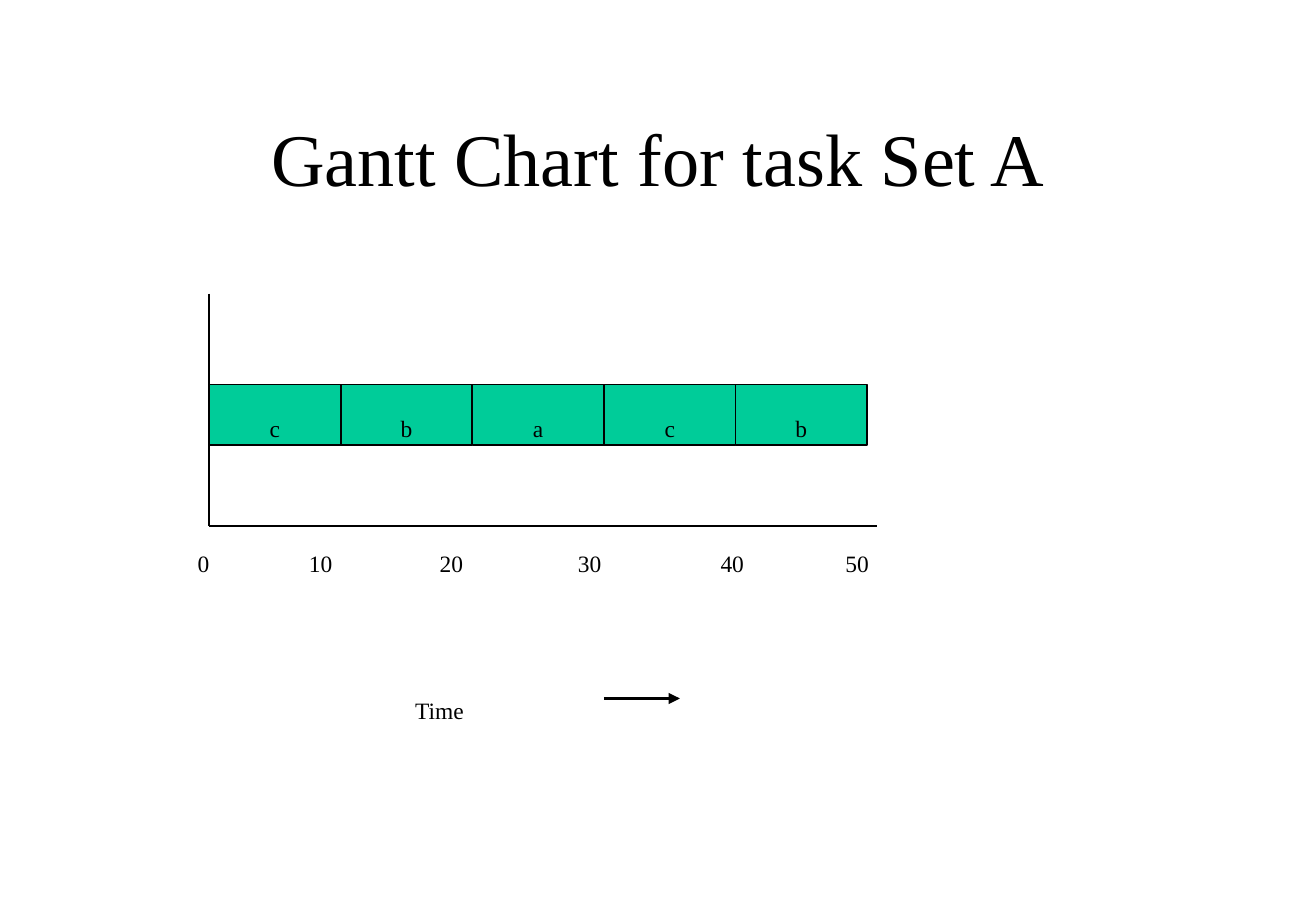
from lxml import etree
from pptx import Presentation
from pptx.dml.color import RGBColor
from pptx.enum import shapes, text
from pptx.oxml import ns
from pptx.util import Pt

BLACK, GREEN = "000000", "00CC99"
TASKS = ["c", "b", "a", "c", "b"]
TICKS = {"0": -14, "10": 52, "20": 129.5, "30": 211.5, "40": 296, "50": 370}


def colour(value):
    return RGBColor.from_string(value)


def write(shape, words, size, align, anchor, lowered=True):
    frame = shape.text_frame
    frame.text = words
    frame.word_wrap = True
    frame.vertical_anchor = anchor
    paragraph = frame.paragraphs[0]
    paragraph.alignment = align
    run = paragraph.runs[0]
    run.font.size = Pt(size)
    run.font.name = "Times New Roman"
    run.font.color.rgb = colour(BLACK)
    if lowered:
        run._r.get_or_add_rPr().set("baseline", "-25000")


def add_label(slide, words, left, top, width):
    box = slide.shapes.add_textbox(Pt(left), Pt(top), Pt(width), Pt(36))
    write(box, words, 24, text.PP_ALIGN.LEFT, text.MSO_ANCHOR.TOP)


def add_line(slide, x1, y1, x2, y2, weight=1, arrow=False):
    line = slide.shapes.add_connector(
        shapes.MSO_CONNECTOR.STRAIGHT, Pt(x1), Pt(y1), Pt(x2), Pt(y2))
    line.line.color.rgb = colour(BLACK)
    line.line.width = Pt(weight)
    if arrow:
        etree.SubElement(line.line._get_or_add_ln(), ns.qn("a:tailEnd"), type="triangle")
    etree.SubElement(line._element.spPr, ns.qn("a:effectLst"))


def add_title(slide, left, top, width, height):
    title = slide.shapes.add_textbox(Pt(left), Pt(top), Pt(width), Pt(height))
    write(title, "Gantt Chart for task Set A", 44,
          text.PP_ALIGN.CENTER, text.MSO_ANCHOR.MIDDLE, lowered=False)


def add_gantt(slide, left, top, width, height):
    bar_width = 78
    for index, task in enumerate(TASKS):
        bar = slide.shapes.add_shape(
            shapes.MSO_SHAPE.RECTANGLE, Pt(left + index * bar_width), Pt(top + 54),
            Pt(bar_width), Pt(36))
        bar.shadow.inherit = False
        bar.fill.solid()
        bar.fill.fore_color.rgb = colour(GREEN)
        bar.line.color.rgb = colour(BLACK)
        bar.line.width = Pt(1)
        write(bar, task, 24, text.PP_ALIGN.CENTER, text.MSO_ANCHOR.MIDDLE)
    bottom = top + height
    add_line(slide, left, top, left, bottom)
    add_line(slide, left, bottom, left + width, bottom)
    for tick, offset in TICKS.items():
        add_label(slide, tick, left + offset, bottom - 6, 42)


def add_time_arrow(slide, left, top, width):
    add_label(slide, "Time", left, top, 70.5)
    add_line(slide, left + 119, top + 21, left + width, top + 21, 2.25, arrow=True)


def main():
    presentation = Presentation()
    presentation.slide_width = Pt(780)
    presentation.slide_height = Pt(540)
    slide = presentation.slides.add_slide(presentation.slide_layouts[6])
    add_title(slide, 58.5, 48, 663, 90)
    add_gantt(slide, 124, 174, 396, 138)
    add_time_arrow(slide, 239, 393, 164)
    presentation.save("out.pptx")


if __name__ == "__main__":
    main()
